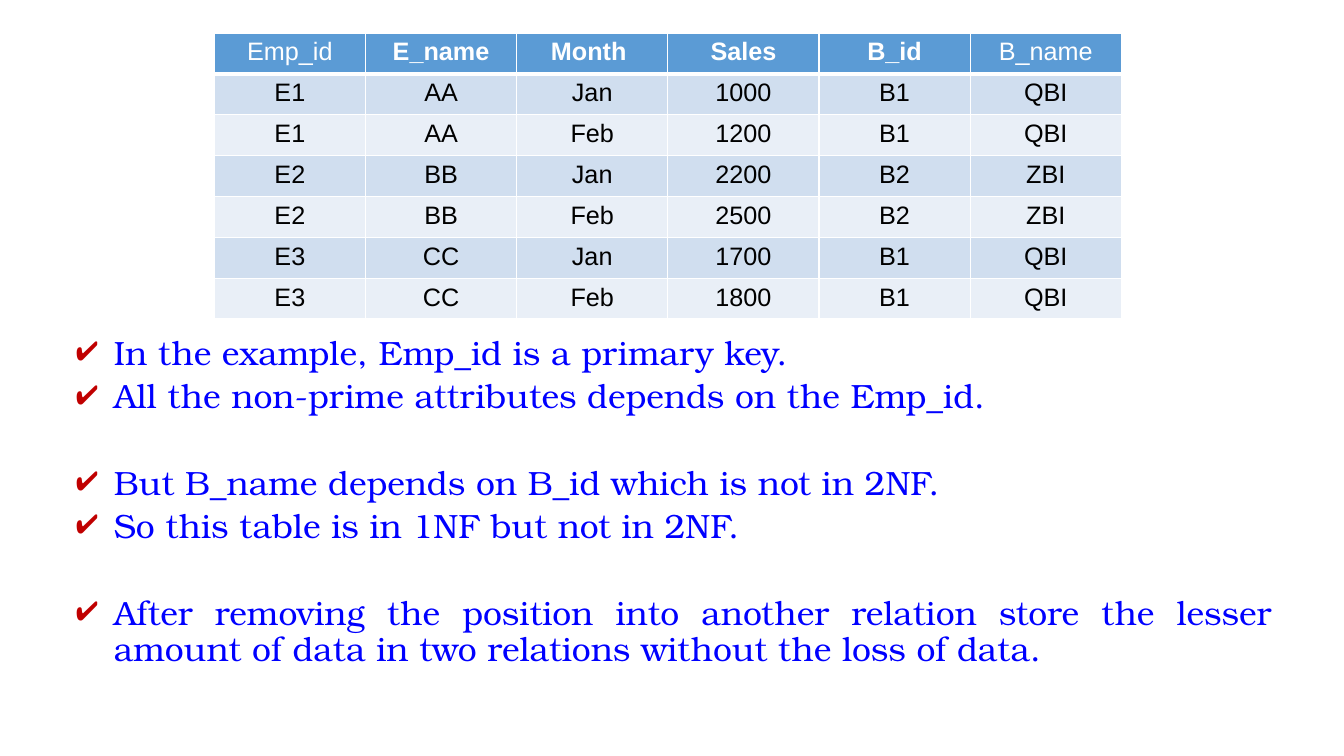
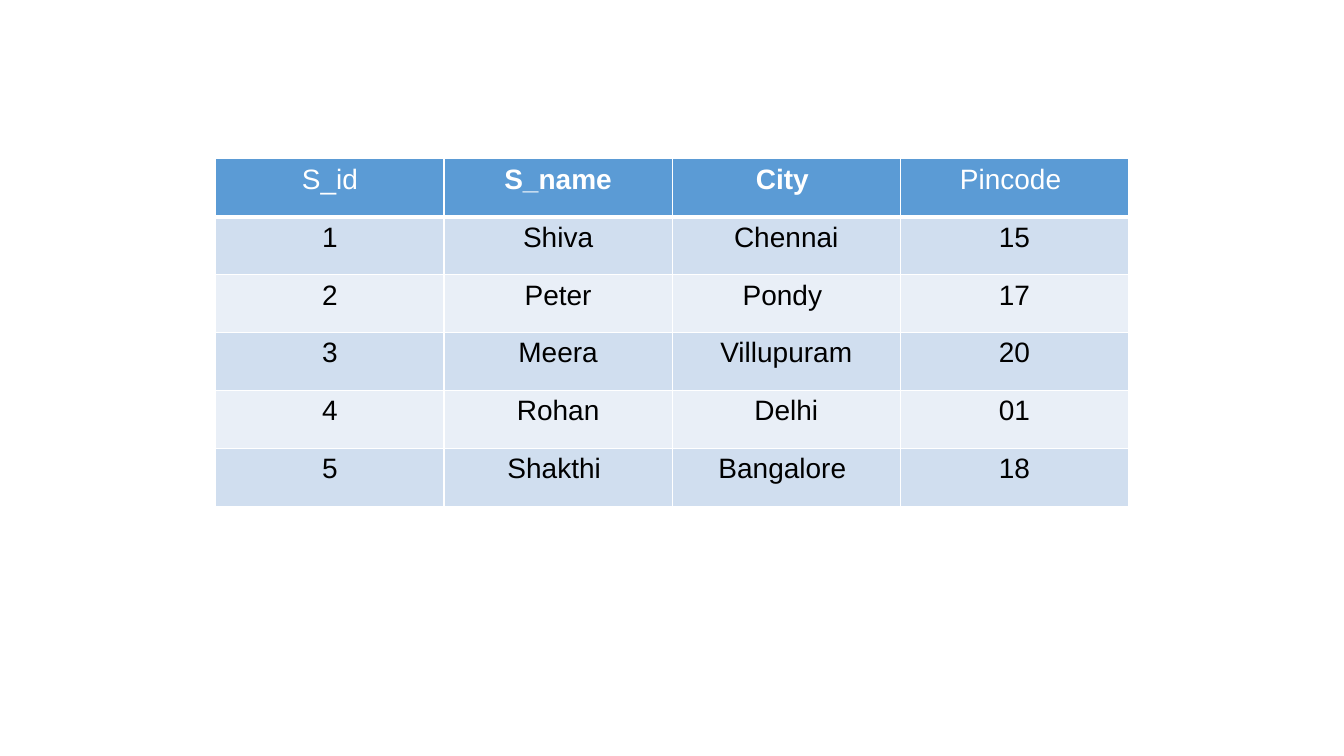
"""Build two slides on table normal forms: a sales table with notes and a city table."""
from lxml.etree import SubElement
from pptx import Presentation
from pptx.dml.color import RGBColor
from pptx.enum.text import MSO_AUTO_SIZE, PP_ALIGN
from pptx.oxml import parse_xml
from pptx.oxml.ns import nsdecls, qn
from pptx.util import Cm, Pt

WHITE = RGBColor(0xFF, 0xFF, 0xFF)
BLACK = RGBColor(0x00, 0x00, 0x00)
HEAD = RGBColor(0x5B, 0x9B, 0xD5)
DARK = RGBColor(0xD0, 0xDE, 0xEF)
LIGHT = RGBColor(0xE9, 0xEF, 0xF7)
BLUE = RGBColor(0x00, 0x00, 0xFF)
RED = RGBColor(0xC0, 0x00, 0x00)


def add_edge(cell, place, side, width):
    line = parse_xml(
        f'<a:{side} {nsdecls("a")} w="{Pt(width)}"><a:solidFill>'
        f'<a:srgbClr val="{WHITE}"/></a:solidFill></a:{side}>')
    cell._tc.get_or_add_tcPr().insert(place, line)


def add_grid(slide, rows, left, top, wide, high, size):
    count = len(rows[0])
    table = slide.shapes.add_table(
        len(rows), count, left, top, wide * count, high * len(rows)).table
    for column in table.columns:
        column.width = wide
    for r, row in enumerate(rows):
        table.rows[r].height = high
        for c, text in enumerate(row):
            cell = table.cell(r, c)
            cell.fill.solid()
            cell.fill.fore_color.rgb = HEAD if r == 0 else DARK if r % 2 else LIGHT
            edges = {"lnL": 1, "lnR": 1, "lnT": 3 if r == 1 else 1, "lnB": 3 if r == 0 else 1}
            for place, (side, width) in enumerate(edges.items()):
                add_edge(cell, place, side, width)
            cell.text_frame.text = text
            par = cell.text_frame.paragraphs[0]
            par.alignment = PP_ALIGN.CENTER
            font = par.runs[0].font
            font.name = "Arial"
            font.size = Pt(size)
            font.bold = r == 0 and 0 < c < count - 1
            font.color.rgb = BLACK if r else WHITE


deck = Presentation()
deck.slide_width = Cm(33.87)
deck.slide_height = Cm(19.05)
blank = deck.slide_layouts[6]

sales = [
    ("Emp_id", "E_name", "Month ", "Sales", "B_id", "B_name"),
    ("E1", "AA", "Jan", "1000", "B1", "QBI"),
    ("E1", "AA", "Feb", "1200", "B1", "QBI"),
    ("E2", "BB", "Jan", "2200", "B2", "ZBI"),
    ("E2", "BB", "Feb", "2500", "B2", "ZBI"),
    ("E3", "CC", "Jan", "1700", "B1", "QBI"),
    ("E3", "CC", "Feb", "1800", "B1", "QBI"),
]
slide = deck.slides.add_slide(blank)
add_grid(slide, sales, Cm(5.4), Cm(0.83), Cm(3.81), Cm(1.03), 18)

notes = [
    ("In the example, Emp_id is a primary key.", 0),
    ("All the non-prime attributes depends on the Emp_id.", 5),
    ("But B_name depends on B_id which is not in 2NF.", 36),
    ("So this table is in 1NF but not in 2NF.", 5),
    ("After removing the position into another relation store the lesser "
     "amount of data in two relations without the loss of data.", 36),
]
frame = slide.shapes.add_textbox(Cm(1.35), Cm(8.36), Cm(30.94), Cm(8.71)).text_frame
frame.word_wrap = True
frame.auto_size = MSO_AUTO_SIZE.SHAPE_TO_FIT_TEXT
frame.text = "\n".join(text for text, gap in notes)
for par, (text, gap) in zip(frame.paragraphs, notes):
    par.alignment = PP_ALIGN.JUSTIFY
    par.line_spacing = 0.9
    par.space_before = Pt(gap)
    font = par.runs[0].font
    font.name = "TeX Gyre Bonum"
    font.size = Pt(24)
    font.color.rgb = BLUE
    props = par._p.get_or_add_pPr()
    props.set("marL", str(Cm(1.27)))
    props.set("indent", str(-Cm(0.95)))
    tint = SubElement(props, qn("a:buClr"))
    SubElement(tint, qn("a:srgbClr")).set("val", str(RED))
    SubElement(props, qn("a:buChar")).set("char", "✔")

towns = [
    ("S_id", "S_name", "City ", "Pincode "),
    ("1", "Shiva", "Chennai", "15"),
    ("2", "Peter", "Pondy ", "17"),
    ("3", "Meera", "Villupuram", "20"),
    ("4", "Rohan", "Delhi", "01"),
    ("5", "Shakthi ", "Bangalore ", "18"),
]
slide = deck.slides.add_slide(blank)
add_grid(slide, towns, Cm(5.44), Cm(4), Cm(5.75), Cm(1.46), 20)

deck.save("out.pptx")
